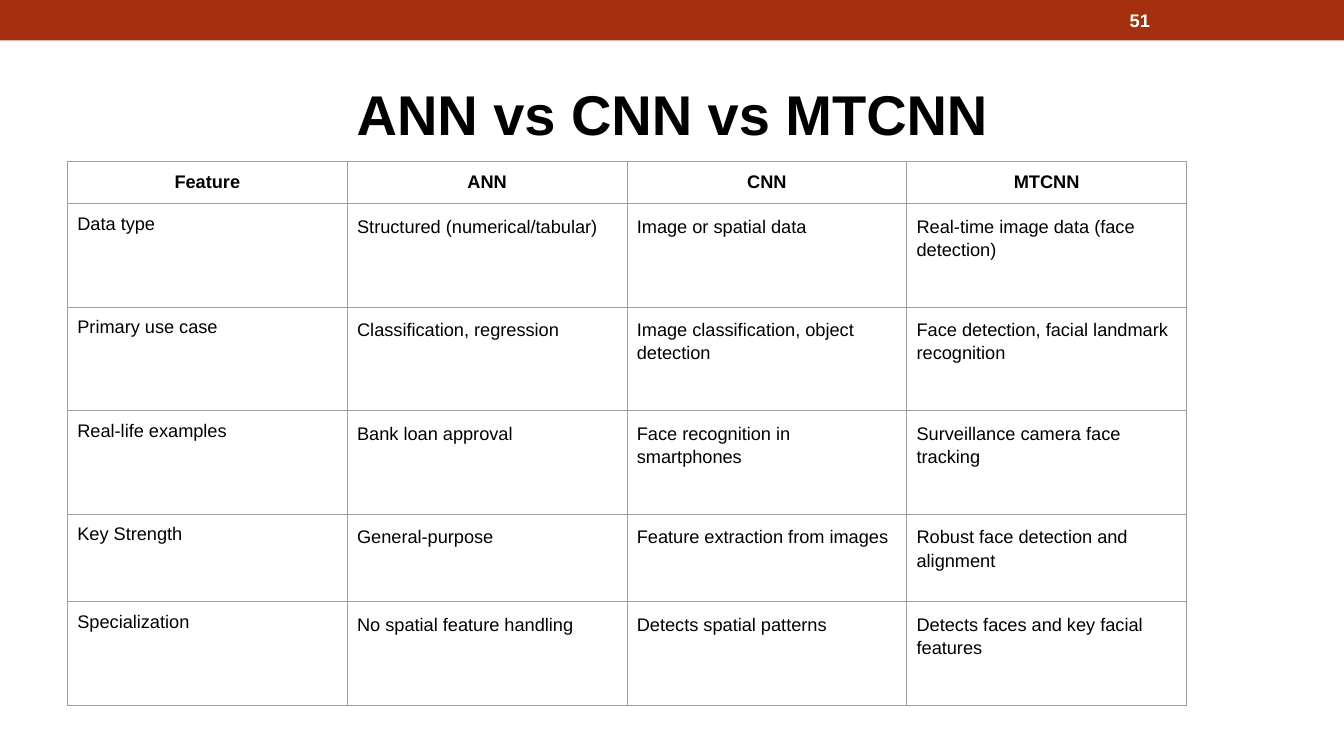
"""Build the slide that compares ANN, CNN and MTCNN in a table."""
from lxml import etree
from pptx import Presentation
from pptx.dml.color import RGBColor
from pptx.enum.shapes import MSO_SHAPE
from pptx.enum.text import MSO_ANCHOR, PP_ALIGN
from pptx.oxml.ns import qn
from pptx.util import Cm, Pt

RUST = RGBColor(0xA5, 0x30, 0x0F)
BLACK = RGBColor(0x00, 0x00, 0x00)
WHITE = RGBColor(0xFF, 0xFF, 0xFF)
GREY = RGBColor(0x9E, 0x9E, 0x9E)
RECTANGLE = MSO_SHAPE.RECTANGLE
MIDDLE = MSO_ANCHOR.MIDDLE
LEFT, CENTER = PP_ALIGN.LEFT, PP_ALIGN.CENTER

MARGIN = Cm(1.7)
COLUMN_WIDTH = Cm(7.05)
ROW_HEIGHTS = [Cm(0.99), Cm(2.61), Cm(2.61), Cm(2.61), Cm(2.2), Cm(2.61)]
COMPARISON = [
    ("Feature", "ANN", "CNN", "MTCNN"),
    ("Data type", "Structured (numerical/tabular)", "Image or spatial data",
     "Real-time image data (face detection)"),
    ("Primary use case", "Classification, regression",
     "Image classification, object detection",
     "Face detection, facial landmark recognition"),
    ("Real-life examples", "Bank loan approval",
     "Face recognition in smartphones", "Surveillance camera face tracking"),
    ("Key Strength", "General-purpose", "Feature extraction from images",
     "Robust face detection and alignment"),
    ("Specialization", "No spatial feature handling",
     "Detects spatial patterns", "Detects faces and key facial features"),
]


def write(frame, text, size=13, color=BLACK, bold=False, align=LEFT, spacing=1.0):
    frame.word_wrap = True
    paragraph = frame.paragraphs[0]
    paragraph.alignment = align
    paragraph.line_spacing = spacing
    run = paragraph.add_run()
    run.text = text
    run.font.name = "Arial"
    run.font.size = Pt(size)
    run.font.bold = bold
    run.font.color.rgb = color


def add_borders(cell):
    properties = cell._tc.get_or_add_tcPr()
    for position, side in enumerate(("a:lnL", "a:lnR", "a:lnT", "a:lnB")):
        border = etree.Element(qn(side), w=str(Pt(0.75)))
        fill = etree.SubElement(border, qn("a:solidFill"))
        etree.SubElement(fill, qn("a:srgbClr"), val=str(GREY))
        properties.insert(position, border)


prs = Presentation()
prs.slide_width = Cm(33.87)
prs.slide_height = Cm(19.05)
slide = prs.slides.add_slide(prs.slide_layouts[6])

banner = slide.shapes.add_shape(RECTANGLE, 0, 0, prs.slide_width, Cm(1.02))
banner.shadow.inherit = False
banner.fill.solid()
banner.fill.fore_color.rgb = RUST
banner.line.fill.background()

title = slide.shapes.add_textbox(MARGIN, Cm(1.47), Cm(30.48), Cm(2.74))
title.text_frame.vertical_anchor = MIDDLE
write(title.text_frame, "ANN vs CNN vs MTCNN", size=40, bold=True, align=CENTER)

page_number = slide.shapes.add_textbox(Cm(28.22), Cm(0.05), Cm(3.96), Cm(0.91))
page_number.text_frame.vertical_anchor = MIDDLE
write(page_number.text_frame, "51", color=WHITE, bold=True)

comparison = slide.shapes.add_table(
    len(COMPARISON), len(COMPARISON[0]), MARGIN, Cm(4.08),
    COLUMN_WIDTH * len(COMPARISON[0]), sum(ROW_HEIGHTS)).table
comparison.first_row = False
comparison.horz_banding = False
for column in comparison.columns:
    column.width = COLUMN_WIDTH

for r, (features, height) in enumerate(zip(COMPARISON, ROW_HEIGHTS)):
    comparison.rows[r].height = height
    for c, text in enumerate(features):
        cell = comparison.cell(r, c)
        cell.margin_left = cell.margin_right = Cm(0.25)
        cell.margin_top = cell.margin_bottom = Cm(0.25)
        cell.fill.background()
        add_borders(cell)
        is_header = r == 0
        write(cell.text_frame, text, bold=is_header,
              align=CENTER if is_header else LEFT,
              spacing=1.0 if is_header or c == 0 else 1.15)

prs.save("out.pptx")
